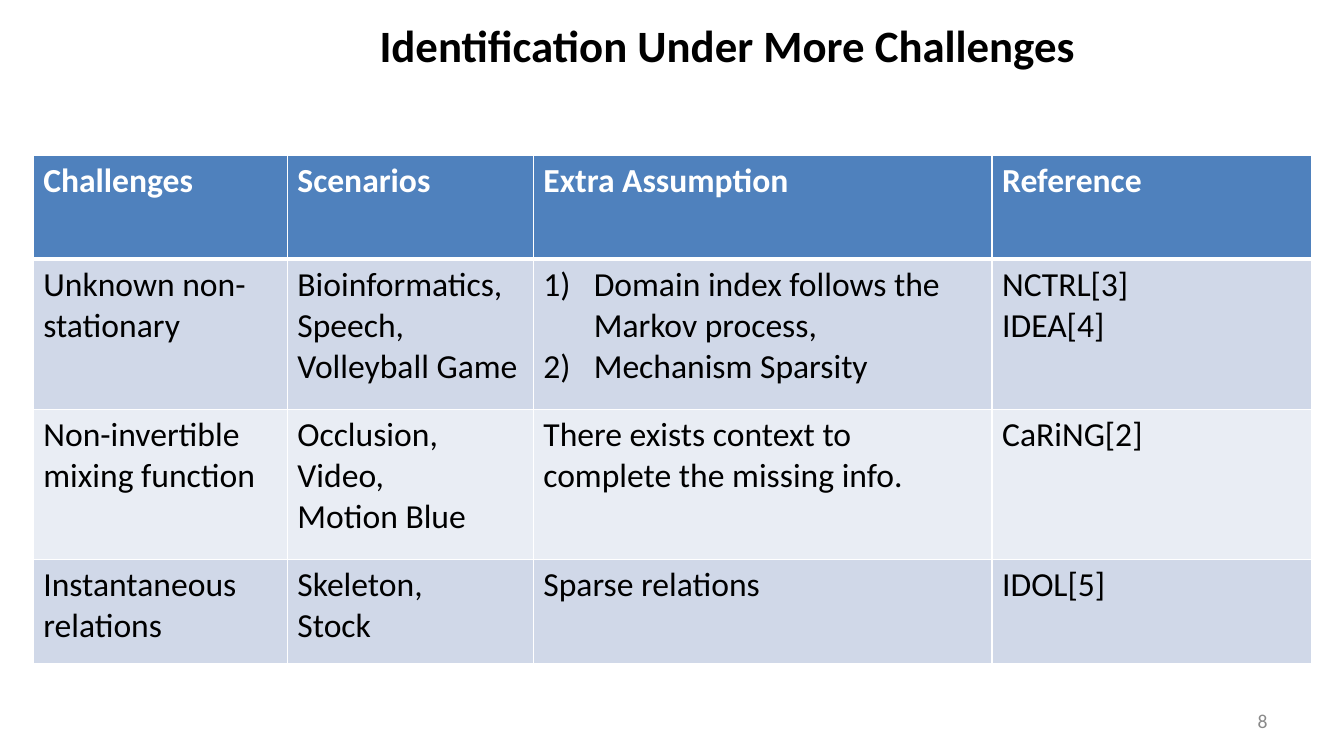
"""Build the slide listing identification challenges and their assumptions."""
from dataclasses import dataclass

from lxml import etree
from pptx import Presentation
from pptx import util as u
from pptx.dml.color import RGBColor
from pptx.enum import text
from pptx.oxml.ns import qn

PX = 9144
FONT = "Calibri"
COLORS = {
    "black": "000000",
    "white": "FFFFFF",
    "gray": "898989",
    "header": "4F81BD",
    "odd": "D0D8E8",
    "even": "E9EDF4",
}
COLUMNS = (252, 244, 455, 317)


@dataclass(frozen=True)
class Row:
    height: int
    cells: tuple[str, ...]
    numbered: int | None = None


ROWS = (
    Row(103, ("Challenges", "Scenarios", "Extra Assumption", "Reference")),
    Row(149, ("Unknown non-stationary",
              "Bioinformatics, Speech,\nVolleyball Game",
              "Domain index follows the Markov process,\nMechanism Sparsity",
              "NCTRL[3]\nIDEA[4]"), numbered=2),
    Row(149, ("Non-invertible mixing function",
              "Occlusion,\nVideo,\nMotion Blue",
              "There exists context to complete the missing info.",
              "CaRiNG[2]")),
    Row(103, ("Instantaneous relations", "Skeleton,\vStock",
              "Sparse relations", "IDOL[5]")),
)


def px(n: int) -> u.Emu:
    return u.Emu(n * PX)


def rgb(name: str) -> RGBColor:
    return RGBColor.from_string(COLORS[name])


def write(tf, content: str, *, size: int = 24, color: str = "black",
          bold: bool = False, align=text.PP_ALIGN.LEFT,
          numbered: bool = False) -> None:
    for i, line in enumerate(content.split("\n")):
        p = tf.paragraphs[0] if i == 0 else tf.add_paragraph()
        p.text = line
        p.alignment = align
        if numbered:
            pPr = p._p.get_or_add_pPr()
            pPr.set("marL", str(px(50)))
            pPr.set("indent", str(-px(50)))
            etree.SubElement(pPr, qn("a:buFont"), typeface="+mj-lt")
            etree.SubElement(pPr, qn("a:buAutoNum"), type="arabicParenR")
        for r in p.runs:
            r.font.name = FONT
            r.font.size = u.Pt(size)
            r.font.bold = bold
            r.font.color.rgb = rgb(color)


def place(sp, left: int, top: int, width: int, height: int) -> None:
    sp.left, sp.top, sp.width, sp.height = map(px, (left, top, width, height))


def add_borders(cell, **widths: int) -> None:
    tcPr = cell._tc.get_or_add_tcPr()
    for i, side in enumerate("LRTB"):
        ln = etree.Element(qn(f"a:ln{side}"), w=str(u.Pt(widths.get(side, 1))))
        fill = etree.SubElement(ln, qn("a:solidFill"))
        etree.SubElement(fill, qn("a:srgbClr"), val=COLORS["white"])
        tcPr.insert(i, ln)


def add_challenges(s) -> None:
    height = sum(row.height for row in ROWS)
    frame = s.shapes.add_table(len(ROWS), len(COLUMNS), px(33), px(154),
                               px(sum(COLUMNS)), px(height))
    table = frame.table
    table.horz_banding = False
    for column, width in zip(table.columns, COLUMNS):
        column.width = px(width)
    for i, row in enumerate(ROWS):
        table.rows[i].height = px(row.height)
        header = i == 0
        fill = "header" if header else "odd" if i % 2 else "even"
        for j, content in enumerate(row.cells):
            cell = table.cell(i, j)
            cell.fill.solid()
            cell.fill.fore_color.rgb = rgb(fill)
            add_borders(cell, T=3 if i == 1 else 1, B=3 if header else 1)
            write(cell.text_frame, content, bold=header,
                  color="white" if header else "black",
                  numbered=j == row.numbered)


def main() -> None:
    prs = Presentation()
    prs.slide_width, prs.slide_height = px(1333), px(750)
    s = prs.slides.add_slide(prs.slide_layouts[5])

    title = s.shapes.title
    place(title, 320, 13, 803, 75)
    title.text_frame.vertical_anchor = text.MSO_ANCHOR.TOP
    title.text_frame.auto_size = text.MSO_AUTO_SIZE.NONE
    write(title.text_frame, "Identification Under More Challenges",
          size=32, bold=True, align=text.PP_ALIGN.CENTER)

    add_challenges(s)

    number = s.shapes.add_textbox(px(956), px(695), px(311), px(40))
    number.text_frame.word_wrap = True
    number.text_frame.vertical_anchor = text.MSO_ANCHOR.MIDDLE
    write(number.text_frame, "8", size=14, color="gray",
          align=text.PP_ALIGN.RIGHT)
    prs.save("out.pptx")


if __name__ == "__main__":
    main()
